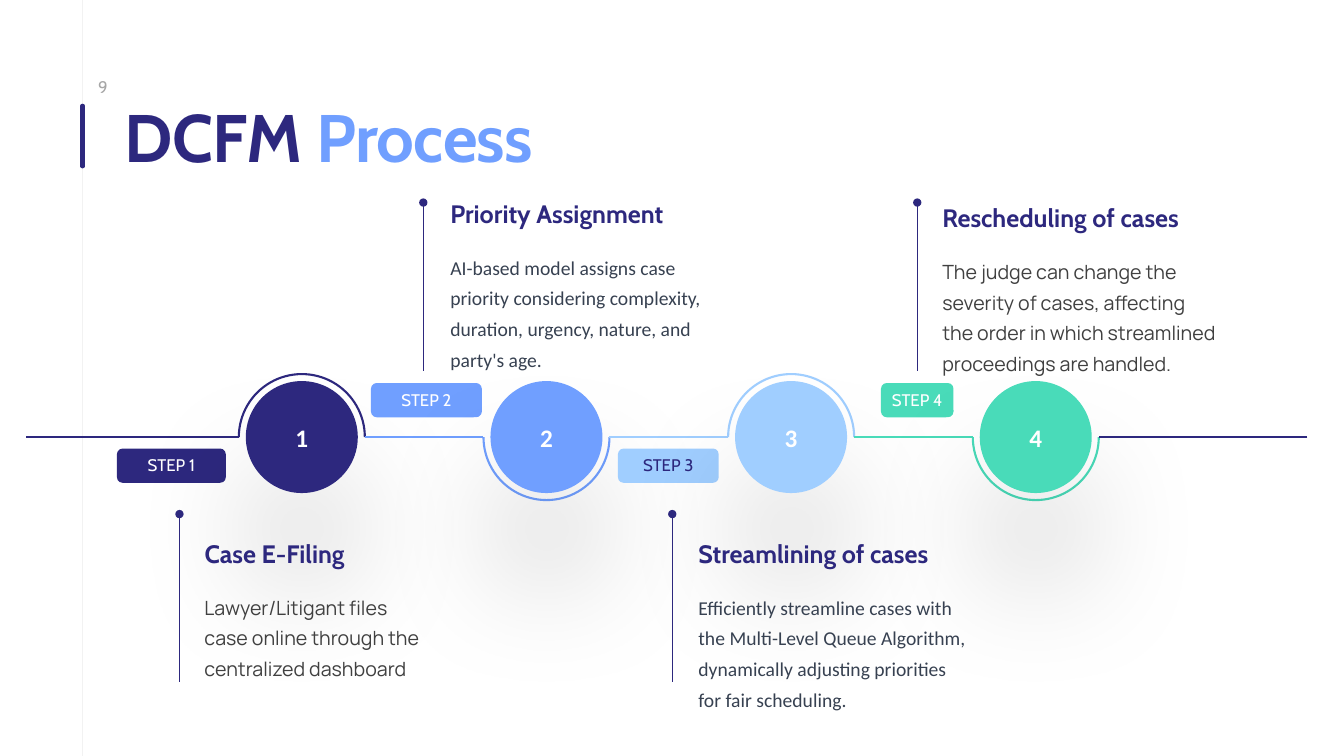
from dataclasses import dataclass
from lxml.etree import SubElement
from pptx import Presentation
from pptx.dml.color import RGBColor
from pptx.enum.shapes import MSO_CONNECTOR as LineKind, MSO_SHAPE as Preset
from pptx.enum.text import MSO_ANCHOR as Anchor, MSO_AUTO_SIZE as AutoSize, PP_ALIGN as Align
from pptx.oxml.ns import qn
from pptx.util import Pt


@dataclass(frozen=True)
class Theme:
    navy: str = "2D287E"
    blue: str = "709FFF"
    sky: str = "A0CEFF"
    mint: str = "49DBB9"
    white: str = "FFFFFF"
    guide: str = "F2F2F2"
    muted: str = "A6A6A6"
    charcoal: str = "404040"
    slate: str = "374151"
    display: str = "Cabin"
    plain: str = "Calibri"
    soft: str = "Manrope"
    title: int = 48
    heading: int = 18
    body: int = 14
    label: int = 12


THEME = Theme()


@dataclass(frozen=True)
class Step:
    color: str
    label_color: str
    pill_left: float
    pill_width: float
    stem_x: float
    text_left: float
    heading_top: float
    heading_width: float
    body_width: float
    body_font: str
    body_color: str
    heading: str
    body: str


STEPS = [
    Step(THEME.navy, THEME.white, 83.5, 77.8, 128.2, 139, 381, 140.4, 172,
         THEME.soft, THEME.charcoal, "Case E-Filing",
         "Lawyer/Litigant files case online through the centralized dashboard"),
    Step(THEME.blue, THEME.white, 265, 79.2, 302.4, 314.6, 138.2, 211.7, 210.2,
         THEME.plain, THEME.slate, "Priority Assignment",
         "AI-based model assigns case priority considering complexity, "
         "duration, urgency, nature, and party's age."),
    Step(THEME.sky, THEME.navy, 441.4, 72, 480.2, 491.8, 381, 208, 210.2,
         THEME.plain, THEME.slate, "Streamlining of cases",
         "Efficiently streamline cases with the Multi-Level Queue Algorithm, "
         "dynamically adjusting priorities for fair scheduling."),
    Step(THEME.mint, THEME.white, 629.3, 51.8, 655.2, 666, 141.1, 203, 210.2,
         THEME.soft, THEME.charcoal, "Rescheduling of cases",
         "The judge can change the severity of cases, affecting "
         "the order in which streamlined proceedings are handled."),
]

AXIS_Y = 312.2
AXIS_START, AXIS_END = 18.7, 933.8
FIRST_CENTER, PITCH = 215.6, 174.75
ARC_RADIUS, DISC_RADIUS = 45, 40
PILL_HEIGHT, PILL_ABOVE, PILL_BELOW = 24.5, 273.6, 320.4
STEM_HEIGHT, STEM_ABOVE, STEM_BELOW = 120.2, 144.7, 367.2
BODY_DROP = 36


def rgb(color):
    return RGBColor.from_string(color)


def style_run(run, size, font, color, bold=False):
    run.font.size = Pt(size)
    run.font.name = font
    run.font.bold = bold
    run.font.color.rgb = rgb(color)


def add_text(slide, left, top, width, height, text, size, font, color,
             bold=False, spacing=None, align=Align.LEFT):
    frame = slide.shapes.add_textbox(Pt(left), Pt(top), Pt(width), Pt(height)).text_frame
    frame.word_wrap = True
    frame.auto_size = AutoSize.SHAPE_TO_FIT_TEXT
    frame.text = text
    paragraph = frame.paragraphs[0]
    paragraph.alignment = align
    if spacing:
        paragraph.line_spacing = spacing
    style_run(paragraph.runs[0], size, font, color, bold)
    return paragraph


def add_rule(slide, start, end, color, weight, dot=False, round_cap=False):
    rule = slide.shapes.add_connector(LineKind.STRAIGHT, *map(Pt, start + end))
    rule.line.color.rgb = rgb(color)
    rule.line.width = Pt(weight)
    stroke = rule.line._get_or_add_ln()
    if round_cap:
        stroke.set("cap", "rnd")
    if dot:
        SubElement(stroke, qn("a:headEnd"), type="oval")
    SubElement(rule._element.spPr, qn("a:effectLst"))


def add_filled(slide, preset, left, top, width, height, color):
    shape = slide.shapes.add_shape(preset, Pt(left), Pt(top), Pt(width), Pt(height))
    shape.shadow.inherit = False
    shape.fill.solid()
    shape.fill.fore_color.rgb = rgb(color)
    shape.line.fill.background()
    return shape


def label_shape(shape, text, size, font, color, anchor, bold=False):
    frame = shape.text_frame
    frame.word_wrap = False
    frame.vertical_anchor = anchor
    frame.text = text
    frame.paragraphs[0].alignment = Align.CENTER
    style_run(frame.paragraphs[0].runs[0], size, font, color, bold)


def add_soft_shadow(shape):
    effects = shape._element.spPr.find(qn("a:effectLst"))
    shadow = SubElement(effects, qn("a:outerShdw"), blurRad=str(Pt(90)),
                        dist=str(Pt(65)), dir="5400000", algn="t", rotWithShape="0")
    tint = SubElement(shadow, qn("a:srgbClr"), val="000000")
    SubElement(tint, qn("a:alpha"), val="17000")


def add_half_ring(slide, center, color, upper):
    ring = slide.shapes.add_shape(Preset.ARC, Pt(center - ARC_RADIUS), Pt(AXIS_Y - ARC_RADIUS),
                                  Pt(2 * ARC_RADIUS), Pt(2 * ARC_RADIUS))
    ring.shadow.inherit = False
    ring.fill.background()
    ring.adjustments[0], ring.adjustments[1] = (108, 0) if upper else (0, 108)
    ring.line.color.rgb = rgb(color)
    ring.line.width = Pt(1.5)


def add_milestone(slide, number, center, color):
    add_half_ring(slide, center, color, upper=number % 2 == 1)
    disc = add_filled(slide, Preset.OVAL, center - DISC_RADIUS, AXIS_Y - DISC_RADIUS,
                      2 * DISC_RADIUS, 2 * DISC_RADIUS, color)
    add_soft_shadow(disc)
    label_shape(disc, str(number), THEME.heading, THEME.plain, THEME.white,
                Anchor.MIDDLE, bold=True)


def add_pill(slide, number, step):
    top = PILL_BELOW if number % 2 else PILL_ABOVE
    pill = add_filled(slide, Preset.ROUNDED_RECTANGLE, step.pill_left, top,
                      step.pill_width, PILL_HEIGHT, step.color)
    label_shape(pill, f"STEP {number}", THEME.label, THEME.display, step.label_color, Anchor.TOP)


def add_description(slide, number, step):
    top = STEM_BELOW if number % 2 else STEM_ABOVE
    add_rule(slide, (step.stem_x, top), (step.stem_x, top + STEM_HEIGHT), THEME.navy, 1, dot=True)
    add_text(slide, step.text_left, step.heading_top, step.heading_width, 33,
             step.heading, THEME.heading, THEME.display, THEME.navy, bold=True)
    add_text(slide, step.text_left, step.heading_top + BODY_DROP, step.body_width, 93.6,
             step.body, THEME.body, step.body_font, step.body_color, spacing=1.3)


def add_header(slide):
    add_rule(slide, (59, 0), (59, 540), THEME.guide, 0.5)
    add_text(slide, 52, 51, 43.2, 21.6, "9", THEME.label, THEME.display, THEME.muted,
             align=Align.CENTER)
    title = add_text(slide, 82, 75.6, 397.5, 54, "DCFM ", THEME.title, THEME.display,
                     THEME.navy, bold=True, spacing=0.8)
    accent = title.add_run()
    accent.text = "Process"
    style_run(accent, THEME.title, THEME.display, THEME.blue, bold=True)
    for run in title.runs:
        run.font._element.set("spc", "-50")
    add_rule(slide, (59, 75.6), (59, 118.8), THEME.navy, 3, round_cap=True)


def add_timeline(slide):
    reached = AXIS_START
    for number, step in enumerate(STEPS, 1):
        center = FIRST_CENTER + (number - 1) * PITCH
        add_pill(slide, number, step)
        add_rule(slide, (center - ARC_RADIUS, AXIS_Y), (reached, AXIS_Y), step.color, 1.5)
        add_milestone(slide, number, center, step.color)
        reached = center + ARC_RADIUS
    add_rule(slide, (AXIS_END, AXIS_Y), (reached, AXIS_Y), THEME.navy, 1.5)


def main():
    deck = Presentation()
    deck.slide_width, deck.slide_height = Pt(960), Pt(540)
    slide = deck.slides.add_slide(deck.slide_layouts[6])
    add_header(slide)
    add_timeline(slide)
    for number, step in enumerate(STEPS, 1):
        add_description(slide, number, step)
    deck.save("out.pptx")


if __name__ == "__main__":
    main()
